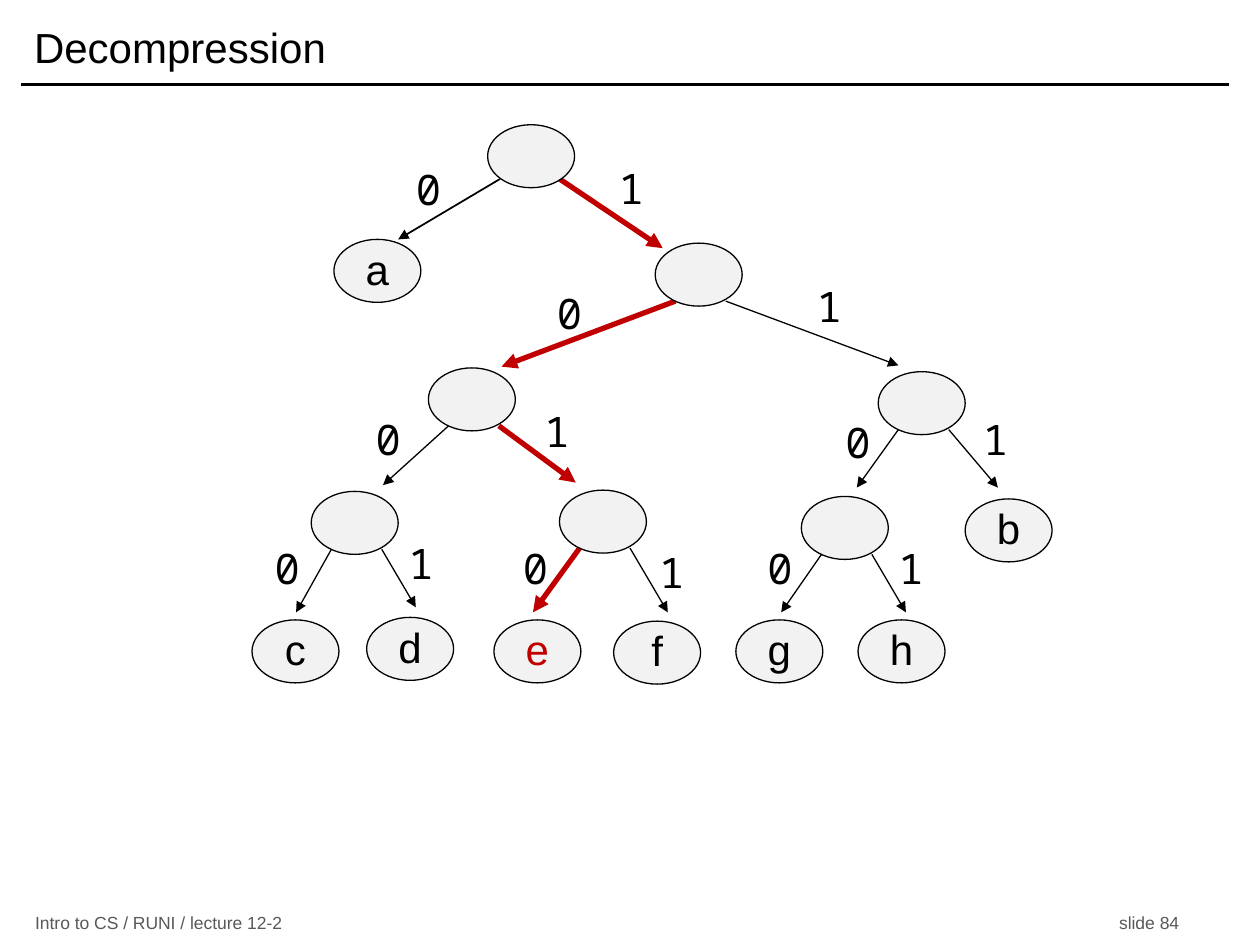
"""Build a slide that decodes one letter by walking down a prefix-code tree."""
from lxml.etree import SubElement
from pptx import Presentation
from pptx.dml.color import RGBColor
from pptx.enum.shapes import MSO_CONNECTOR, MSO_SHAPE
from pptx.enum.text import MSO_ANCHOR, MSO_AUTO_SIZE, PP_ALIGN
from pptx.oxml.ns import qn
from pptx.util import Inches, Pt

BLACK = RGBColor(0x00, 0x00, 0x00)
RED = RGBColor(0xC0, 0x00, 0x00)
GRAY = RGBColor(0x59, 0x59, 0x59)
NODE_FILL = RGBColor(0xF2, 0xF2, 0xF2)
TEXT_FONT, BIT_FONT = "Arial", "Noto Sans Mono"

TITLE = "Decompression"
FOOTER = "Intro to CS / RUNI / lecture 12-2\tslide 84"
DECODED = "1010"
LETTERS = {"0": "a", "111": "b", "1000": "c", "1001": "d",
           "1010": "e", "1011": "f", "1100": "g", "1101": "h"}
NODES = {
    "": (3.87, 0.99), "0": (2.65, 1.9), "1": (5.2, 1.93),
    "10": (3.4, 2.92), "11": (6.97, 2.95),
    "100": (2.47, 3.9), "101": (4.44, 3.89),
    "110": (6.36, 3.94), "111": (7.66, 3.96),
    "1000": (2, 4.92), "1001": (2.91, 4.9), "1010": (3.92, 4.92),
    "1011": (4.87, 4.93), "1100": (5.84, 4.92), "1101": (6.81, 4.92),
}
ARROW_TIPS = {
    "0": (3.16, 1.9), "1": (5.26, 1.97), "10": (3.98, 2.91), "11": (7.13, 2.9),
    "100": (3.04, 3.85), "101": (4.57, 3.83), "110": (6.8, 3.87), "111": (7.92, 3.87),
    "1000": (2.35, 4.86), "1001": (3.3, 4.82), "1010": (4.23, 4.86),
    "1011": (5.3, 4.86), "1100": (6.2, 4.86), "1101": (7.19, 4.86),
}
BITS = {
    "0": (3.24, 1.25), "1": (4.85, 1.24), "10": (4.36, 2.23), "11": (6.42, 2.18),
    "100": (2.92, 3.23), "101": (4.26, 3.17), "110": (6.65, 3.26), "111": (7.74, 3.23),
    "1000": (2.12, 4.26), "1001": (3.18, 4.22), "1010": (4.09, 4.26),
    "1011": (5.17, 4.29), "1100": (6.03, 4.26), "1101": (7.07, 4.26),
}
NODE_W, NODE_H = 0.69, 0.5
LETTER_W, BIT_W, BIT_H = 0.39, 0.32, 0.51
ROOT_EXITS = {"0": (0.1, 0.43), "1": (0.57, 0.43)}
EXITS = {"0": (0.16, 0.46), "1": (0.56, 0.46)}


def add_run(paragraph, text, size, font, color):
    run = paragraph.add_run()
    run.text = text
    run.font.size = Pt(size)
    run.font.name = font
    run.font.color.rgb = color


def add_line(slide, start, end, color, width, arrow=False):
    line = slide.shapes.add_connector(MSO_CONNECTOR.STRAIGHT, *map(Inches, start + end))
    line.line.color.rgb = color
    line.line.width = Pt(width)
    if arrow:
        SubElement(line.line._get_or_add_ln(), qn("a:tailEnd"), type="triangle")
    SubElement(line._element.spPr, qn("a:effectLst"))


def add_label(slide, left, top, width, height, text, font, color, inset, wrap):
    label = slide.shapes.add_textbox(*map(Inches, (left, top, width, height)))
    frame = label.text_frame
    frame.margin_left = frame.margin_right = Inches(inset)
    frame.word_wrap = wrap
    frame.auto_size = MSO_AUTO_SIZE.SHAPE_TO_FIT_TEXT
    frame.paragraphs[0].alignment = PP_ALIGN.CENTER
    add_run(frame.paragraphs[0], text, 24, font, color)


def add_heading(slide):
    title = slide.shapes.title
    title.left, title.top, title.width, title.height = map(Inches, (0.17, 0.08, 9.58, 0.58))
    title.text_frame.vertical_anchor = MSO_ANCHOR.MIDDLE
    heading = title.text_frame.paragraphs[0]
    heading.alignment = PP_ALIGN.LEFT
    add_run(heading, TITLE, 24, TEXT_FONT, BLACK)
    add_line(slide, (0.17, 0.67), (9.75, 0.67), BLACK, 2)


def add_footer(slide):
    footer = slide.shapes.add_textbox(*map(Inches, (0.18, 7.23, 9.42, 0.19)))
    footer.text_frame.word_wrap = True
    footer.text_frame.vertical_anchor = MSO_ANCHOR.MIDDLE
    paragraph = footer.text_frame.paragraphs[0]
    tabs = SubElement(paragraph._p.get_or_add_pPr(), qn("a:tabLst"))
    SubElement(tabs, qn("a:tab"), pos=str(Inches(9.08)), algn="r")
    add_run(paragraph, FOOTER, 10, TEXT_FONT, GRAY)


def add_edge(slide, code):
    parent, bit = code[:-1], code[-1]
    exits = EXITS if parent else ROOT_EXITS
    start = tuple(a + b for a, b in zip(NODES[parent], exits[bit]))
    if DECODED.startswith(code):
        color, width = RED, 3
    else:
        color, width = BLACK, 0.75 if parent else 1
    add_line(slide, start, ARROW_TIPS[code], color, width, arrow=True)
    add_label(slide, *BITS[code], BIT_W, BIT_H, bit, BIT_FONT, BLACK, 0, True)


def add_node(slide, code):
    left, top = NODES[code]
    node = slide.shapes.add_shape(
        MSO_SHAPE.OVAL, *map(Inches, (left, top, NODE_W, NODE_H)))
    node.shadow.inherit = False
    node.fill.solid()
    node.fill.fore_color.rgb = NODE_FILL
    node.line.color.rgb = BLACK
    node.line.width = Pt(0.75)
    if code in LETTERS:
        color = RED if code == DECODED else BLACK
        add_label(slide, left + (NODE_W - LETTER_W) / 2, top - 0.02, LETTER_W, NODE_H,
                  LETTERS[code], TEXT_FONT, color, 0.1, False)


def main():
    prs = Presentation()
    prs.slide_width, prs.slide_height = Inches(10), Inches(7.5)
    slide = prs.slides.add_slide(prs.slide_layouts[5])
    add_heading(slide)
    add_footer(slide)
    for code in ARROW_TIPS:
        add_edge(slide, code)
    for code in NODES:
        add_node(slide, code)
    prs.save("out.pptx")


if __name__ == "__main__":
    main()
